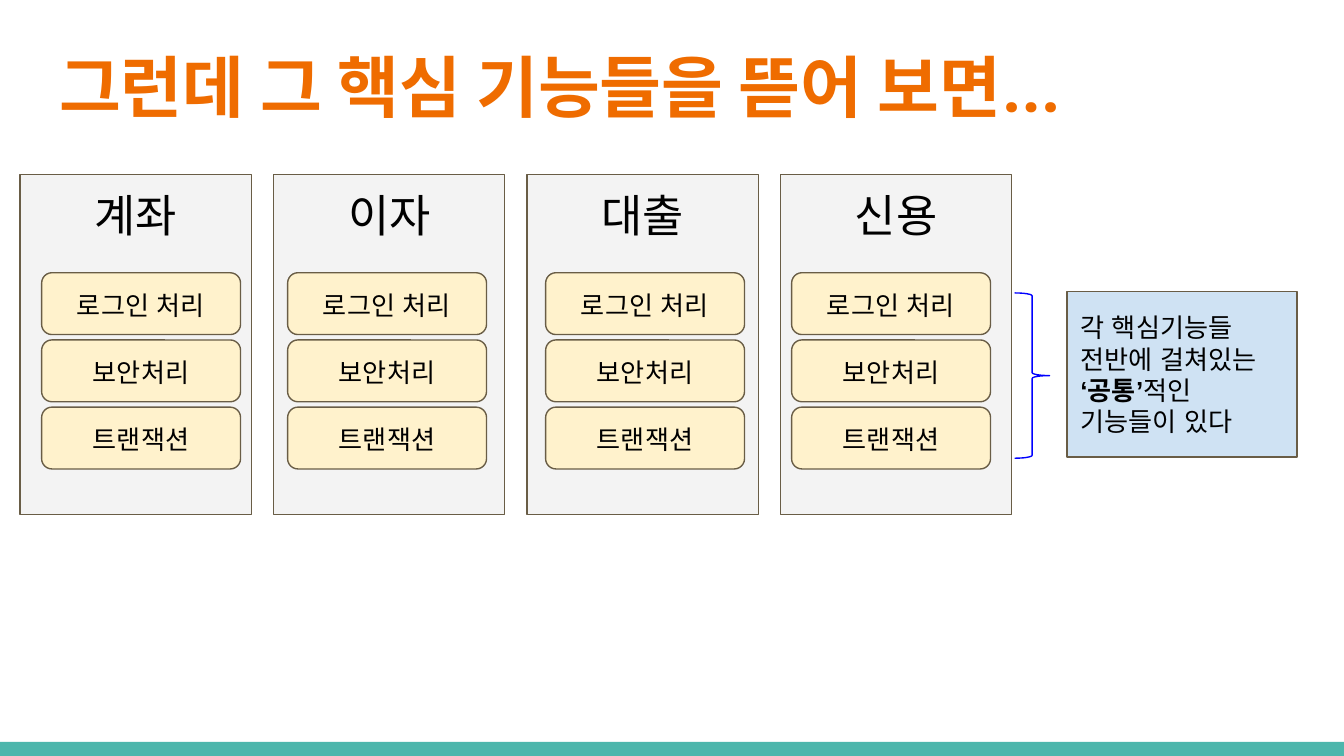
"""Build a slide showing the common functions shared by four core features."""
from lxml import etree
from pptx import Presentation
from pptx.dml.color import RGBColor
from pptx.enum.shapes import MSO_SHAPE
from pptx.enum.text import MSO_ANCHOR, PP_ALIGN
from pptx.oxml.ns import qn
from pptx.util import Inches, Pt


def rgb(color):
    return RGBColor.from_string(color)


def write(sp, *runs, size=14, color="000000", font="Arial", bold=(),
          align=PP_ALIGN.CENTER, anchor=MSO_ANCHOR.TOP):
    tf = sp.text_frame
    tf.word_wrap = True
    tf.vertical_anchor = anchor
    tf.margin_left = tf.margin_right = Inches(0.1)
    tf.margin_top = tf.margin_bottom = Inches(0.1)
    p = tf.paragraphs[0]
    p.alignment = align
    for text in runs:
        r = p.add_run()
        r.text = text
        r.font.size = Pt(size)
        r.font.name = font
        r.font.bold = text in bold
        r.font.color.rgb = rgb(color)
        rPr = r.font._element
        rPr.set("lang", "ko")
        for tag in ("a:ea", "a:cs"):
            etree.SubElement(rPr, qn(tag), typeface=font)


prs = Presentation()
prs.slide_width, prs.slide_height = Inches(10), Inches(10 * 9 / 16)
s = prs.slides.add_slide(prs.slide_layouts[5])

title = s.shapes.title
title.left, title.top = Inches(0.34), Inches(0.24)
title.width, title.height = Inches(9.32), Inches(0.77)
heading = "그런데 그 핵심 기능들을 뜯어 보면..."
write(title, heading, size=36, color="EF6C00", font="Roboto Condensed",
      bold=[heading], align=PP_ALIGN.LEFT, anchor=MSO_ANCHOR.TOP)

features = ["계좌", "이자", "대출", "신용"]
functions = ["로그인 처리", "보안처리", "트랜잭션"]
function_lefts = [0.31, 2.14, 4.06, 5.89]
rect, rounded = MSO_SHAPE.RECTANGLE, MSO_SHAPE.ROUNDED_RECTANGLE

boxes = [(rect, 0, 5.52, 10, 0.11, "4DB6AC", None, None, 0)]
for i, name in enumerate(features):
    boxes.append((rect, 0.15 + 1.886 * i, 1.3, 1.72, 2.53,
                  "F3F3F3", "695D46", name, 24))
for left in function_lefts:
    for i, name in enumerate(functions):
        boxes.append((rounded, left, 2.03 + 0.5 * i, 1.48, 0.46,
                      "FFF2CC", "695D46", name, 14))
boxes.append((MSO_SHAPE.RIGHT_BRACE, 7.55, 2.18, 0.26, 1.23,
              None, "0000FF", None, 0))
boxes.append((rect, 7.94, 2.17, 1.71, 1.23, "CFE2F3", "695D46", None, 0))

for kind, left, top, width, height, fill, line, text, size in boxes:
    sp = s.shapes.add_shape(kind, Inches(left), Inches(top),
                            Inches(width), Inches(height))
    sp.shadow.inherit = False
    if fill:
        sp.fill.solid()
        sp.fill.fore_color.rgb = rgb(fill)
    else:
        sp.fill.background()
    if line:
        sp.line.color.rgb = rgb(line)
        sp.line.width = Pt(0.75)
    else:
        sp.line.fill.background()
    if text:
        write(sp, text, size=size)

note = sp
write(note, "각 핵심기능들 전반에 걸쳐있는 ", "‘공통’", "적인 기능들이 있다",
      bold=["‘공통’"], align=PP_ALIGN.LEFT, anchor=MSO_ANCHOR.MIDDLE)

prs.save("out.pptx")
